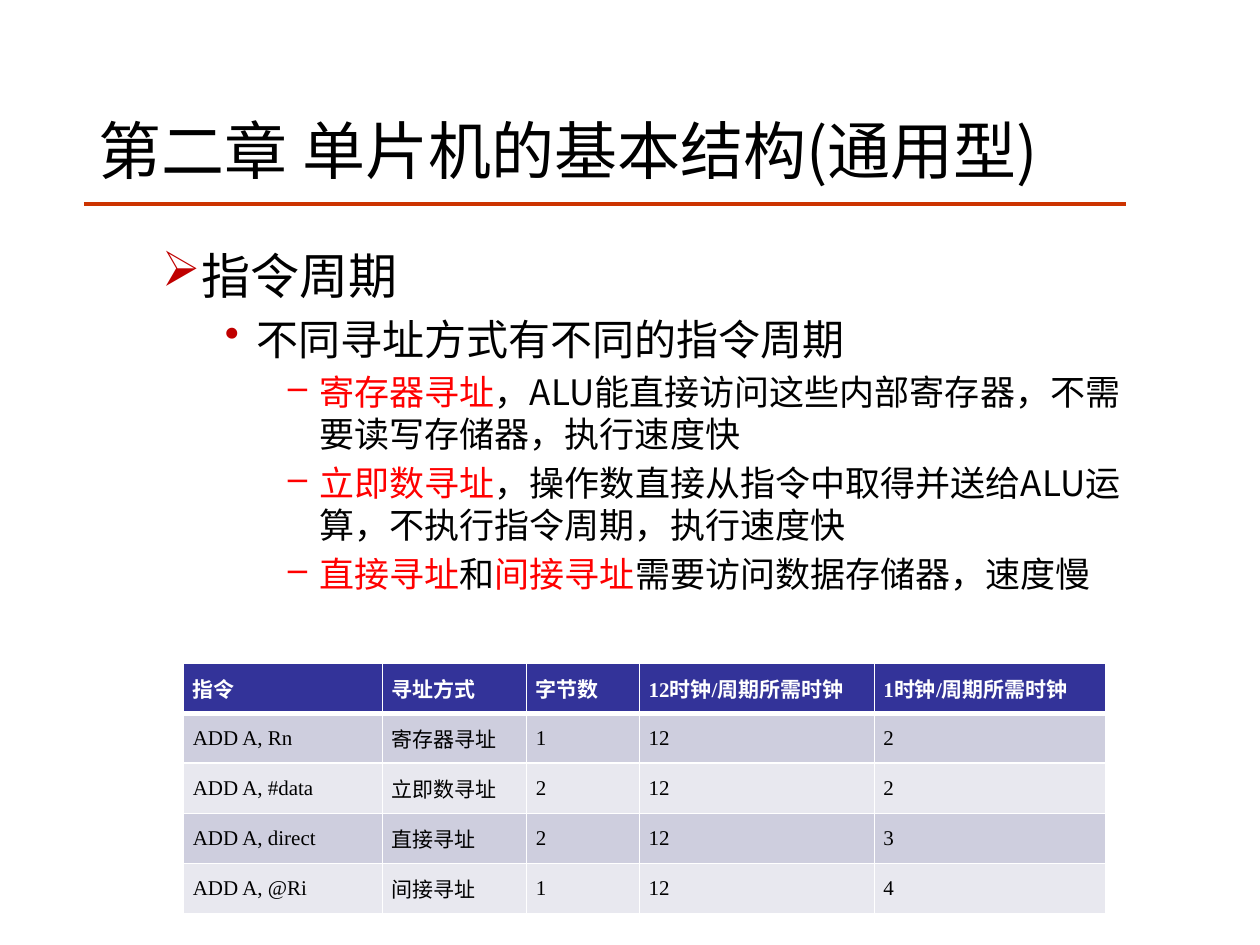
from lxml import etree
from pptx import Presentation
from pptx import util as u
from pptx.dml import color
from pptx.enum import shapes, text
from pptx.oxml import ns

Pt = u.Pt
CJK = "Noto Sans CJK SC"
SERIF = "Times New Roman"
BLACK, WHITE, RED, DARK_RED = "000000", "FFFFFF", "FF0000", "C00000"
NAVY, BAND, LIGHT_BAND, RULE = "333399", "CECEDE", "E8E8EF", "CC3300"
LINE_FACTOR = 1.2

POINTS = [
    (1, "➢", DARK_RED, [("指令周期", BLACK)]),
    (2, "•", DARK_RED, [("不同寻址方式有不同的指令周期", BLACK)]),
    (3, "–", RED, [("寄存器寻址", RED),
                   ("，ALU能直接访问这些内部寄存器，不需要读写存储器，执行速度快", BLACK)]),
    (3, "–", RED, [("立即数寻址", RED),
                   ("，操作数直接从指令中取得并送给ALU运算，不执行指令周期，执行速度快", BLACK)]),
    (3, "–", RED, [("直接寻址", RED), ("和", BLACK), ("间接寻址", RED),
                   ("需要访问数据存储器，速度慢", BLACK)]),
]
LEVELS = {1: (28, 58.5, 22.5), 2: (24, 90, 18), 3: (20, 126, 18)}

ROWS = [
    ["指令", "寻址方式", "字节数", "12时钟/周期所需时钟", "1时钟/周期所需时钟"],
    ["ADD A, Rn", "寄存器寻址", "1", "12", "2"],
    ["ADD A, #data", "立即数寻址", "2", "12", "2"],
    ["ADD A, direct", "直接寻址", "2", "12", "3"],
    ["ADD A, @Ri", "间接寻址", "1", "12", "4"],
]
COLUMN_WIDTHS = [113.5, 82.5, 64.5, 134.2, 132.3]


def rgb(value):
    return color.RGBColor.from_string(value)


def add_text(paragraph, content, size=12, fill=BLACK, latin=CJK, bold=False):
    run = paragraph.add_run()
    run.text = content
    run.font.size = Pt(size)
    run.font.bold = bold
    run.font.name = latin
    run.font.color.rgb = rgb(fill)
    east_asian = etree.SubElement(run.font._element, ns.qn("a:ea"))
    east_asian.set("typeface", CJK)


def add_frame(slide, left, top, width, height, inset_top):
    box = slide.shapes.add_textbox(Pt(left), Pt(top), Pt(width), Pt(height))
    frame = box.text_frame
    frame.word_wrap = True
    frame.vertical_anchor = text.MSO_ANCHOR.TOP
    frame.margin_top = Pt(inset_top)
    return frame


def set_bullet(paragraph, character, fill, margin, hanging):
    properties = paragraph._p.get_or_add_pPr()
    properties.set("marL", str(Pt(margin)))
    properties.set("indent", str(-Pt(hanging)))
    bullet_color = etree.SubElement(properties, ns.qn("a:buClr"))
    etree.SubElement(bullet_color, ns.qn("a:srgbClr")).set("val", fill)
    etree.SubElement(properties, ns.qn("a:buChar")).set("char", character)


def set_border(cell, side, width):
    properties = cell._tc.get_or_add_tcPr()
    line = etree.SubElement(properties, ns.qn(f"a:ln{side}"), w=str(Pt(width)))
    fill = etree.SubElement(line, ns.qn("a:solidFill"))
    etree.SubElement(fill, ns.qn("a:srgbClr")).set("val", WHITE)


def add_rule(slide, left, top, width):
    rule = slide.shapes.add_connector(
        shapes.MSO_CONNECTOR.STRAIGHT, Pt(left), Pt(top), Pt(left + width), Pt(top))
    rule.line.color.rgb = rgb(RULE)
    rule.line.width = Pt(2.25)
    etree.SubElement(rule._element.spPr, ns.qn("a:effectLst"))


def add_title(slide, left, top, width, height):
    size = 36
    paragraph = add_frame(slide, left, top, width, height, 7.5).paragraphs[0]
    paragraph.line_spacing = Pt(size * LINE_FACTOR)
    add_text(paragraph, "第二章 单片机的基本结构(通用型)", size=size)


def add_points(slide, left, top, width, height):
    frame = add_frame(slide, left, top, width, height, 6.5)
    for index, (level, character, bullet_fill, parts) in enumerate(POINTS):
        paragraph = frame.add_paragraph() if index else frame.paragraphs[0]
        size, margin, hanging = LEVELS[level]
        paragraph.level = level
        paragraph.line_spacing = Pt(size * LINE_FACTOR)
        paragraph.space_before = Pt(size * 0.2 if index else 0)
        set_bullet(paragraph, character, bullet_fill, margin, hanging)
        for content, fill in parts:
            add_text(paragraph, content, size=size, fill=fill)


def add_instruction_table(slide, left, top, width, height):
    table = slide.shapes.add_table(
        len(ROWS), len(COLUMN_WIDTHS), Pt(left), Pt(top), Pt(width), Pt(height)).table
    for column, column_width in zip(table.columns, COLUMN_WIDTHS):
        column.width = Pt(column_width)
    for row_index, values in enumerate(ROWS):
        table.rows[row_index].height = Pt(height / len(ROWS))
        header = row_index == 0
        background = NAVY if header else BAND if row_index % 2 else LIGHT_BAND
        for column_index, content in enumerate(values):
            cell = table.cell(row_index, column_index)
            cell.vertical_anchor = text.MSO_ANCHOR.MIDDLE
            cell.margin_left = cell.margin_right = Pt(5.2)
            cell.margin_top = cell.margin_bottom = 0
            for side in "LRTB":
                thick = (header and side == "B") or (row_index == 1 and side == "T")
                set_border(cell, side, 3 if thick else 1)
            cell.fill.solid()
            cell.fill.fore_color.rgb = rgb(background)
            add_text(cell.text_frame.paragraphs[0], content, latin=SERIF,
                     fill=WHITE if header else BLACK, bold=header)


def main():
    presentation = Presentation()
    presentation.slide_width = Pt(720)
    presentation.slide_height = Pt(540)
    slide = presentation.slides.add_slide(presentation.slide_layouts[6])
    add_rule(slide, 48, 116.75, 595.5)
    add_title(slide, 49.5, 56, 620.5, 67)
    add_points(slide, 49.5, 134, 611.5, 353)
    add_instruction_table(slide, 105, 379, sum(COLUMN_WIDTHS), 143)
    presentation.save("out.pptx")


if __name__ == "__main__":
    main()
